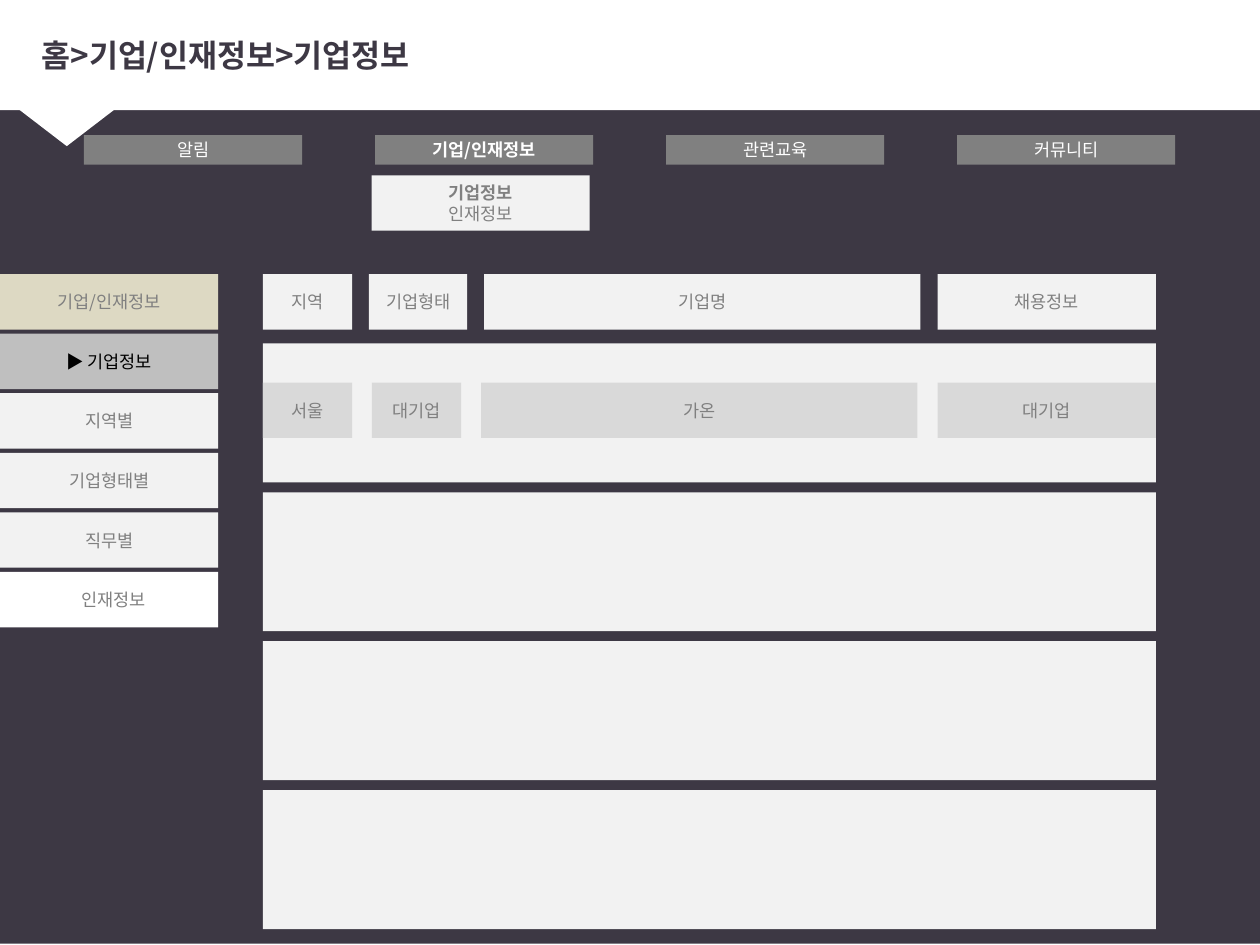
from lxml.etree import SubElement
from pptx import Presentation
from pptx.dml.color import RGBColor
from pptx.enum.shapes import MSO_SHAPE
from pptx.enum.text import MSO_ANCHOR, MSO_AUTO_SIZE, PP_ALIGN
from pptx.oxml.ns import qn
from pptx.util import Pt

FONT = "Noto Sans CJK KR"
DARK = RGBColor(0x3D, 0x38, 0x44)
WHITE = RGBColor(0xFF, 0xFF, 0xFF)
BLACK = RGBColor(0, 0, 0)
GRAY = RGBColor(0x80, 0x80, 0x80)
MID = RGBColor(0xBF, 0xBF, 0xBF)
SOFT = RGBColor(0xD9, 0xD9, 0xD9)
PALE = RGBColor(0xF2, 0xF2, 0xF2)
SAND = RGBColor(0xDD, 0xD9, 0xC3)

WIDE, HIGH = 124.7, 31.7  # common button size


def style(para, size, color, bold=False):
    for run in para.runs:
        font = run.font
        font.size, font.bold, font.name = Pt(size), bold, FONT
        font.color.rgb = color
        SubElement(font._element, qn("a:ea")).set("typeface", FONT)


def block(slide, box, fill, text="", color=GRAY, bold=False,
          kind=MSO_SHAPE.RECTANGLE):
    shape = slide.shapes.add_shape(kind, *map(Pt, box))
    shape.shadow.inherit = False
    shape.fill.solid()
    shape.fill.fore_color.rgb = fill
    shape.line.fill.background()
    if text:
        frame = shape.text_frame
        frame.word_wrap = True
        frame.vertical_anchor = MSO_ANCHOR.MIDDLE
        frame.text = text
        for para in frame.paragraphs:
            para.alignment = PP_ALIGN.CENTER
            style(para, 10, color, bold)
    return shape


def header(slide, box, text):
    left, top, width, height = box
    # Dark page, white band and its pointer
    block(slide, (0, 0, 720, 539.3), DARK)
    block(slide, box, WHITE)
    mark = block(slide, (left - 14.4, top + 43.2, 105.1, 40.3), WHITE,
                 kind=MSO_SHAPE.ISOSCELES_TRIANGLE)
    mark.rotation = 180
    # Title, brought in front of the band
    title = slide.shapes.title
    title.left, title.top = Pt(left + 16.5), Pt(top + 9.3)
    title.width, title.height = Pt(width - 24.5), Pt(height - 18.4)
    frame = title.text_frame
    frame.text = text
    frame.auto_size = MSO_AUTO_SIZE.NONE
    frame.vertical_anchor = MSO_ANCHOR.MIDDLE
    frame.paragraphs[0].alignment = PP_ALIGN.LEFT
    style(frame.paragraphs[0], 18, DARK, True)
    title.element.getparent().append(title.element)


def menu(slide, box, names, chosen):
    left, top, width, height = box
    step = (width - WIDE) / (len(names) - 1)
    for i, name in enumerate(names):
        block(slide, (left + i * step, top, WIDE, height), GRAY, name,
              WHITE, i == chosen)
    # Open list under the chosen entry
    drop = block(slide, (left + chosen * step - 2, top + 23, WIDE, HIGH),
                 PALE, "기업정보\n인재정보")
    for run in drop.text_frame.paragraphs[0].runs:
        run.font.bold = True


def sidebar(slide, box, items):
    left, top, width, height = box
    step = (height - HIGH) / (len(items) - 1)
    for i, (name, fill, color) in enumerate(items):
        item = block(slide, (left, top + i * step, width, HIGH),
                     fill, name, color)
    # The last entry sits slightly to the right
    item.text_frame.margin_left = Pt(12.4)


def listing(slide, box, heads, cells):
    left, top, width, height = box
    # Column heads
    for name, x, wide in heads:
        block(slide, (left + x, top, wide, HIGH), PALE, name)
    # Row panels
    count, first, tall = 4, top + 39.5, 79.4
    step = (top + height - tall - first) / (count - 1)
    for i in range(count):
        block(slide, (left, first + i * step, width, tall), PALE)
    # Cells of the first row
    for name, x, wide in cells:
        block(slide, (left + x, first + 22.4, wide, HIGH), SOFT, name)


def main():
    deck = Presentation()
    deck.slide_width, deck.slide_height = Pt(720), Pt(540)
    slide = deck.slides.add_slide(deck.slide_layouts[5])
    header(slide, (0, 0, 720, 63), "홈>기업/인재정보>기업정보")
    menu(slide, (48, 77.2, 623.6, 17),
         ["알림", "기업/인재정보", "관련교육", "커뮤니티"], 1)
    sidebar(slide, (0, 156.7, WIDE, 201.8), [
        ("기업/인재정보", SAND, GRAY),
        ("▶ 기업정보", MID, BLACK),
        ("지역별", PALE, GRAY),
        ("기업형태별", PALE, GRAY),
        ("직무별", PALE, GRAY),
        ("인재정보", WHITE, GRAY),
    ])
    listing(slide, (150.2, 156.7, 510.3, 374.2),
            [("지역", 0, 51), ("기업형태", 60.6, 56.2),
             ("기업명", 126.4, 249.4), ("채용정보", 385.6, WIDE)],
            [("서울", 0, 51), ("대기업", 62.3, 51),
             ("가온", 124.7, 249.4), ("대기업", 385.6, WIDE)])
    deck.save("out.pptx")


if __name__ == "__main__":
    main()
